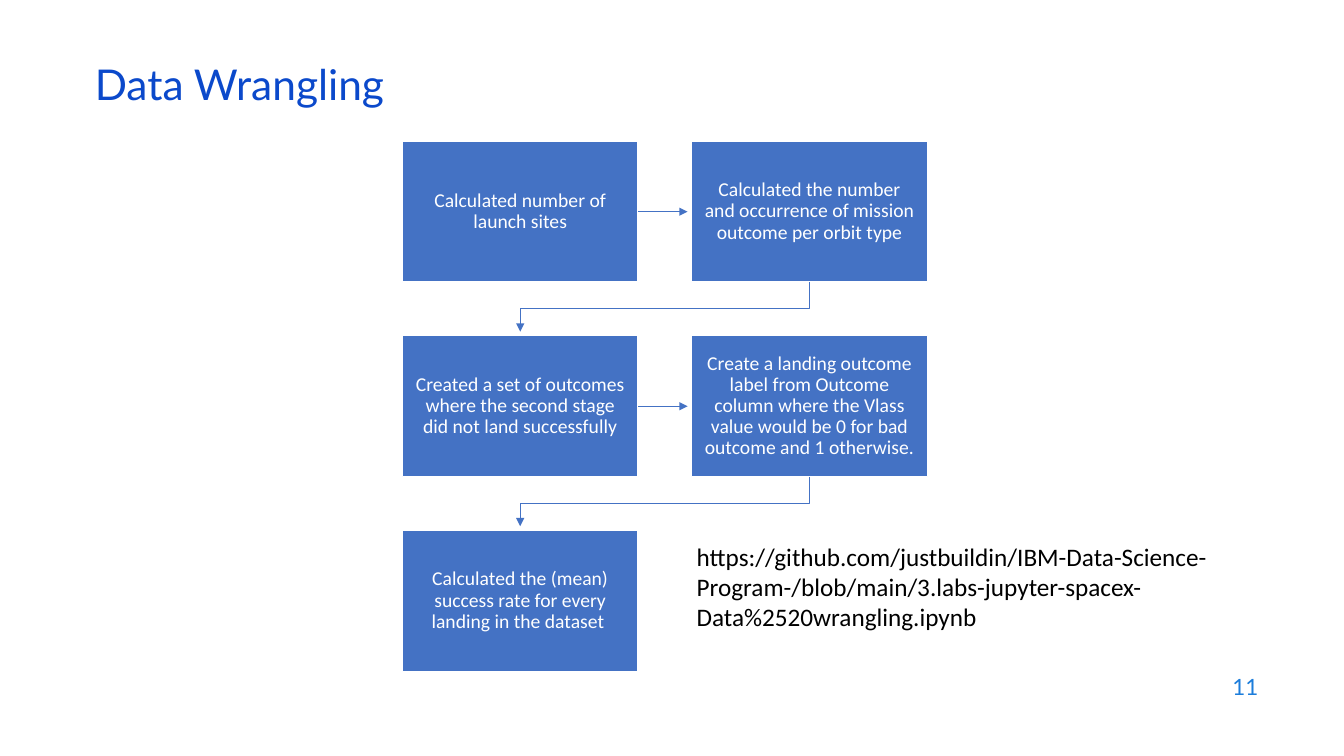
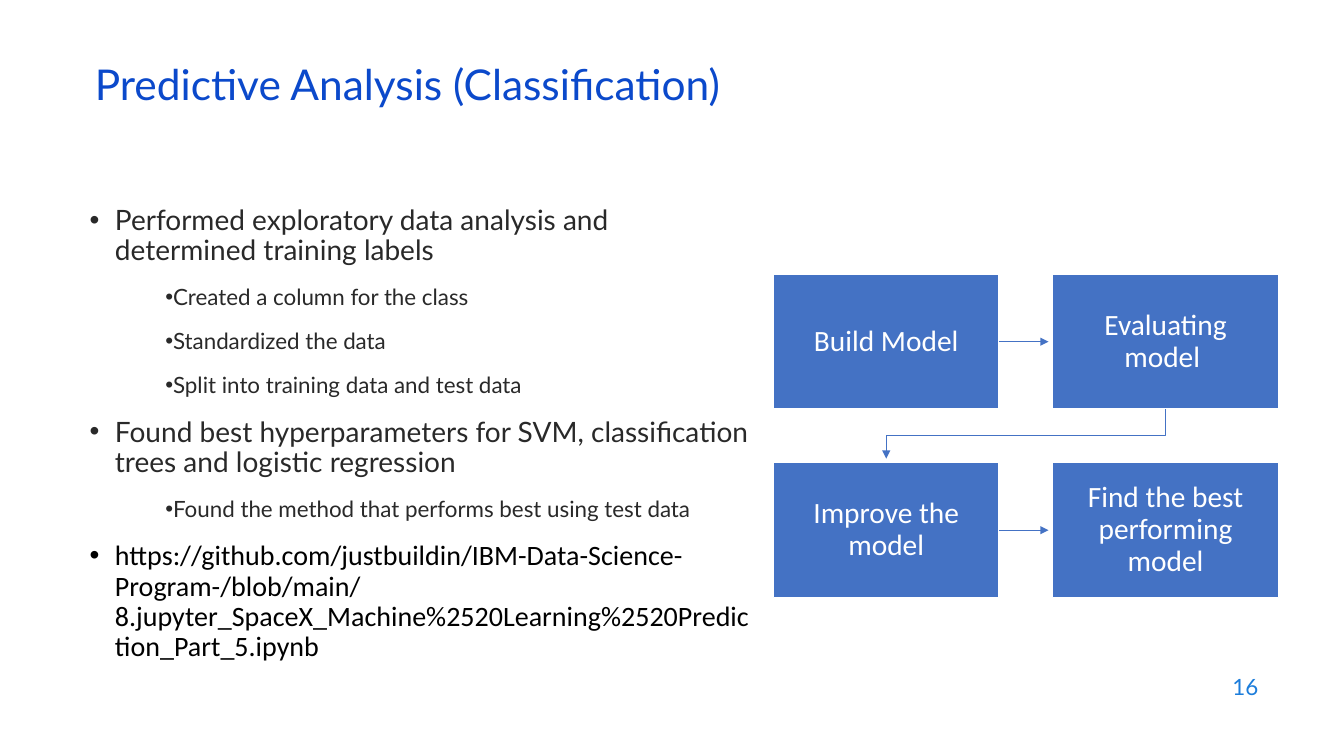
"""Builds two slides on data wrangling and predictive analysis, each with a flow of boxes."""
import pptx
import pptx.util
import pptx.dml.color
import pptx.enum.shapes
import pptx.enum.text
import pptx.oxml
import pptx.oxml.ns
from lxml import etree

PX = 9144
GAP = 53
ARROW_CLEARANCE = 4
INSET = 5
BLUE, TITLE_BLUE, NUMBER_BLUE = "4472C4", "0B49CB", "1C7DDB"
WHITE, BLACK, DARK = "FFFFFF", "000000", "292929"
HEADING_FONT, BODY_FONT = "Lato", "Calibri"
ALIGN = pptx.enum.text.PP_ALIGN
ANCHOR = pptx.enum.text.MSO_ANCHOR

REPOSITORY = "https://github.com/justbuildin/IBM-Data-Science-Program-/blob/main/"

WRANGLING = {
    "title": "Data Wrangling",
    "number": "11",
    "flow": {
        "origin": (399, 140), "size": (234, 140), "points": 14, "inset": 11,
        "steps": [
            "Calculated number of launch sites",
            "Calculated the number and occurrence of mission outcome per orbit type",
            "Created a set of outcomes where the second stage did not land successfully",
            "Create a landing outcome label from Outcome column where the Vlass value "
            "would be 0 for bad outcome and 1 otherwise. ",
            "Calculated the (mean) success rate for every landing in the dataset ",
        ],
    },
}
NOTEBOOK = REPOSITORY + "3.labs-jupyter-spacex-Data%2520wrangling.ipynb"

PREDICTION = {
    "title": "Predictive Analysis (Classification)",
    "number": "16",
    "flow": {
        "origin": (767, 272), "size": (224, 134), "points": 21, "inset": 16,
        "steps": ["Build Model", "Evaluating model ", "Improve the model",
                  "Find the best performing model"],
    },
}
LEVELS = {
    "point": (20, HEADING_FONT, DARK, 25, -25),
    "detail": (16, HEADING_FONT, DARK, 75, 0),
    "link": (20, BODY_FONT, BLACK, 25, -25),
}
BULLETS = [
    ("point", "Performed exploratory data analysis and determined training labels"),
    ("detail", "Created a column for the class"),
    ("detail", "Standardized the data"),
    ("detail", "Split into training data and test data"),
    ("point", "Found best hyperparameters for SVM, classification trees and logistic regression"),
    ("detail", "Found the method that performs best using test data"),
    ("link", REPOSITORY + "8.jupyter_SpaceX_Machine%2520Learning%2520Prediction_Part_5.ipynb"),
]


def px(length):
    """Turn px into EMU."""
    return pptx.util.Emu(round(length * PX))


def colour(code):
    """Turn a hex string into a colour."""
    return pptx.dml.color.RGBColor.from_string(code)


def set_frame(frame, anchor, inset=INSET):
    """Set wrapping, anchor and insets of a text frame."""
    frame.word_wrap = True
    frame.vertical_anchor = anchor
    frame.margin_left = frame.margin_right = px(inset)
    frame.margin_top = frame.margin_bottom = px(INSET)


def add_span(para, text, points, font, code):
    """Add one run of styled text to a paragraph."""
    span = para.add_run()
    span.text = text
    span.font.size = pptx.util.Pt(points)
    span.font.name = font
    span.font.color.rgb = colour(code)


def add_text(page, place, text, points, font, code, anchor=ANCHOR.TOP, align=ALIGN.LEFT, spacing=1.0):
    """Add a text box holding one paragraph."""
    box = page.shapes.add_textbox(*map(px, place))
    set_frame(box.text_frame, anchor)
    para = box.text_frame.paragraphs[0]
    para.alignment = align
    para.line_spacing = spacing
    add_span(para, text, points, font, code)


def style_arrow(arrow):
    """Give a line the flow colour, a thin stroke and an arrowhead."""
    arrow.line.color.rgb = colour(BLUE)
    arrow.line.width = pptx.util.Pt(0.5)
    tail = etree.SubElement(arrow.line._get_or_add_ln(), pptx.oxml.ns.qn("a:tailEnd"))
    tail.set("type", "triangle")


def add_step(page, left, top, flow, text):
    """Add one box of a flow."""
    box = page.shapes.add_shape(pptx.enum.shapes.MSO_SHAPE.RECTANGLE,
                                px(left), px(top), *map(px, flow["size"]))
    box.shadow.inherit = False
    box.fill.solid()
    box.fill.fore_color.rgb = colour(BLUE)
    box.line.color.rgb = colour(WHITE)
    box.line.width = pptx.util.Pt(1)
    set_frame(box.text_frame, ANCHOR.MIDDLE, flow["inset"])
    para = box.text_frame.paragraphs[0]
    para.alignment = ALIGN.CENTER
    para.line_spacing = 0.9
    add_span(para, text, flow["points"], BODY_FONT, WHITE)
    return box


def add_straight_arrow(page, box, left, middle):
    """Add an arrow from a box towards the one on its right."""
    arrow = page.shapes.add_connector(pptx.enum.shapes.MSO_CONNECTOR.STRAIGHT, px(left), px(middle),
                                      px(left + GAP - ARROW_CLEARANCE), px(middle))
    arrow.begin_connect(box, 3)
    style_arrow(arrow)
    etree.SubElement(arrow._element.spPr, pptx.oxml.ns.qn("a:effectLst"))


def add_return_arrow(page, start, end, top):
    """Add a bent arrow from the end of one row to the start of the next."""
    turn = top + GAP // 2
    outline = page.shapes.build_freeform(start, top, scale=PX)
    outline.add_line_segments([(start, turn), (end, turn), (end, top + GAP - ARROW_CLEARANCE)],
                              close=False)
    arrow = outline.convert_to_shape()
    arrow.shadow.inherit = False
    arrow.fill.background()
    style_arrow(arrow)


def add_flow(page, flow):
    """Lay out the steps two to a row and join them with arrows."""
    (left, top), (width, height) = flow["origin"], flow["size"]
    last = len(flow["steps"]) - 1
    for index, text in enumerate(flow["steps"]):
        row, column = divmod(index, 2)
        box_left = left + column * (width + GAP)
        box_top = top + row * (height + GAP)
        box = add_step(page, box_left, box_top, flow, text)
        if index == last:
            continue
        if column == 0:
            add_straight_arrow(page, box, box_left + width, box_top + height // 2)
        else:
            add_return_arrow(page, box_left + width // 2, left + width // 2, box_top + height)


def add_bullets(page, place, bullets):
    """Add a bulleted list with two levels."""
    box = page.shapes.add_textbox(*map(px, place))
    frame = box.text_frame
    set_frame(frame, ANCHOR.TOP)
    for index, (level, text) in enumerate(bullets):
        points, font, code, margin, indent = LEVELS[level]
        para = frame.add_paragraph() if index else frame.paragraphs[0]
        para.line_spacing = 0.9
        para.space_before = pptx.util.Pt(14 if index else 0)
        para.level = 1 if level == "detail" else 0
        properties = para._p.get_or_add_pPr()
        properties.set("marL", str(px(margin)))
        properties.set("indent", str(px(indent)))
        face = etree.SubElement(properties, pptx.oxml.ns.qn("a:buFont"))
        face.set("typeface", "Arial")
        mark = etree.SubElement(properties, pptx.oxml.ns.qn("a:buChar"))
        mark.set("char", "•")
        add_span(para, text, points, font, code)


def add_page(deck, content):
    """Add a slide with its title, page number and flow."""
    page = deck.slides.add_slide(deck.slide_layouts[6])
    add_text(page, (89, 59, 1140, 60), content["title"], 30.3, HEADING_FONT, TITLE_BLUE,
             ANCHOR.MIDDLE, spacing=0.72)
    add_text(page, (1203, 663, 50, 36), content["number"], 16, HEADING_FONT, NUMBER_BLUE,
             ANCHOR.MIDDLE, ALIGN.RIGHT)
    add_flow(page, content["flow"])
    return page


def main():
    """Build and save the deck."""
    deck = pptx.Presentation()
    deck.slide_width, deck.slide_height = px(1333), px(750)
    page = add_page(deck, WRANGLING)
    add_text(page, (686, 532, 541, 100), NOTEBOOK, 18, BODY_FONT, BLACK)
    page = add_page(deck, PREDICTION)
    add_bullets(page, (84, 200, 666, 480), BULLETS)
    deck.save("out.pptx")


if __name__ == "__main__":
    main()
